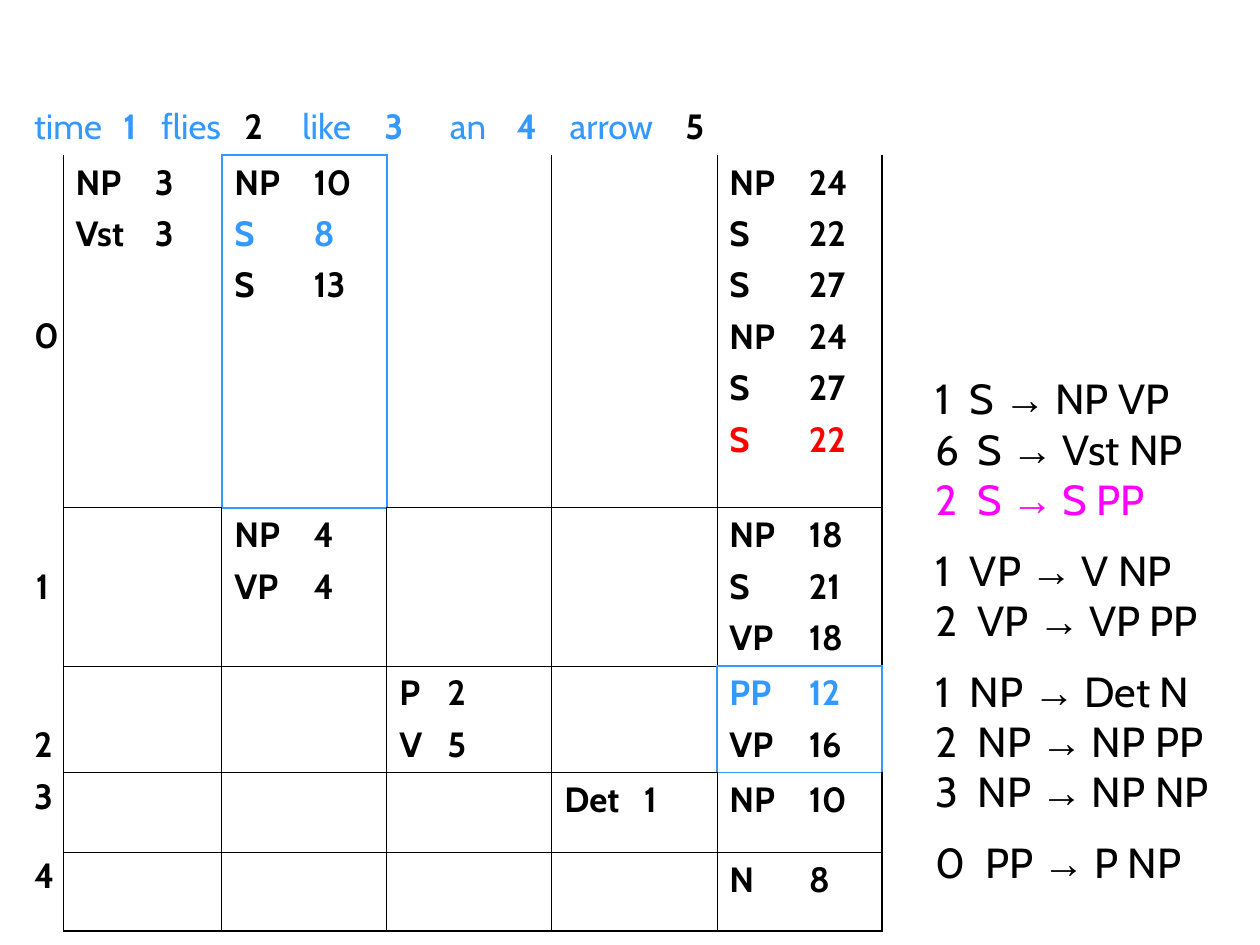
"""Build a slide with a weighted CKY parse chart and its grammar rules."""
import lxml.etree
import pptx
import pptx.dml.color
import pptx.enum.text
import pptx.oxml.ns
import pptx.util

THEME = {
    "ink": "000000", "focus": "3399FF", "best": "FF0000", "rule": "FF00FF",
    "font": "Cabin", "arrow_font": "Arial",
    "chart_size": 20, "grammar_size": 24, "thin": 0.45, "heavy": 1.08,
}
SENTENCE = [
    ("time", 0, "focus"), ("1", 0.71, "focus"), ("flies", 1.01, "focus"),
    ("2", 1.67, "ink"), ("like", 2.13, "focus"), ("3", 2.78, "focus"),
    ("an", 3.3, "focus"), ("4", 3.83, "focus"), ("arrow", 4.25, "focus"),
    ("5", 5.17, "ink"),
]
ENTRIES = {
    (1, 1): ["NP 3", "Vst 3"],
    (1, 2): ["NP 10", "S 8 focus", "S 13"],
    (1, 5): ["NP 24", "S 22", "S 27", "NP 24", "S 27", "S 22 best"],
    (2, 2): ["NP 4", "VP 4"],
    (2, 5): ["NP 18", "S 21", "VP 18"],
    (3, 3): ["P 2", "V 5"],
    (3, 5): ["PP 12 focus", "VP 16"],
    (4, 4): ["Det 1"],
    (4, 5): ["NP 10"],
    (5, 5): ["N 8"],
}
START_LABELS = [("0", 4.6), ("1", 2.2), ("2", 2.2), ("3", 0.9), ("4", 0.9)]
FOCUS_CELLS = {(1, 2), (3, 5)}
GRAMMAR = [
    [("1", "S", "NP VP", "ink"), ("6", "S", "Vst NP", "ink"), ("2", "S", "S PP", "rule")],
    [("1", "VP", "V NP", "ink"), ("2", "VP", "VP PP", "ink")],
    [("1", "NP", "Det N", "ink"), ("2", "NP", "NP PP", "ink"), ("3", "NP", "NP NP", "ink")],
    [("0", "PP", "P NP", "ink")],
]
WEIGHT_TABS = {"1": 0.27, "0": 0.39}
COLUMNS = [0.33, 1.26] + [1.31] * 4
ROWS = [0.44, 2.8, 1.24, 0.84, 0.63, 0.63]
SIDES = {"lnL": (0, -1), "lnR": (0, 1), "lnT": (-1, 0), "lnB": (1, 0)}
inch = pptx.util.Inches


def write(paragraph, text, *, size, color="ink", bold=False, font="font"):
    run = paragraph.add_run()
    run.text = text
    run.font.size = pptx.util.Pt(size)
    run.font.bold = bold
    run.font.name = THEME[font]
    run.font.color.rgb = pptx.dml.color.RGBColor.from_string(THEME[color])


def set_tabs(paragraph, *stops):
    properties = paragraph._p.get_or_add_pPr()
    tabs = lxml.etree.SubElement(properties, pptx.oxml.ns.qn("a:tabLst"))
    for stop in stops:
        lxml.etree.SubElement(tabs, pptx.oxml.ns.qn("a:tab"), pos=str(inch(stop)), algn="l")


def next_paragraph(frame, index):
    return frame.add_paragraph() if index else frame.paragraphs[0]


def draw_border(cell, side, color, width):
    properties = cell._tc.get_or_add_tcPr()
    line = lxml.etree.SubElement(
        properties, pptx.oxml.ns.qn("a:" + side), w=str(pptx.util.Pt(width)))
    fill = lxml.etree.SubElement(line, pptx.oxml.ns.qn("a:solidFill"))
    lxml.etree.SubElement(fill, pptx.oxml.ns.qn("a:srgbClr"), val=THEME[color])


def draw_borders(cell, row, column):
    for side, (down, across) in SIDES.items():
        neighbour = (row + down, column + across)
        if FOCUS_CELLS & {(row, column), neighbour}:
            draw_border(cell, side, "focus", THEME["heavy"])
        elif neighbour[0] == len(ROWS) or neighbour[1] == len(COLUMNS):
            draw_border(cell, side, "ink", THEME["heavy"])
        elif neighbour[0] > 0:
            draw_border(cell, side, "ink", THEME["thin"])


def fill_entries(cell, entries, weight_tab):
    for index, entry in enumerate(entries):
        symbol, weight, *color = entry.split()
        paragraph = next_paragraph(cell.text_frame, index)
        if index:
            paragraph.space_before = pptx.util.Pt(5)
        set_tabs(paragraph, weight_tab)
        write(paragraph, f"{symbol}\t{weight}", size=THEME["chart_size"],
              color=color[0] if color else "ink", bold=True)


def add_chart_table(slide):
    chart = slide.shapes.add_table(
        len(ROWS), len(COLUMNS), inch(0.17), inch(0.79),
        inch(sum(COLUMNS)), inch(sum(ROWS))).table
    chart.first_row = chart.horz_banding = False
    style = chart._tbl.tblPr.find(pptx.oxml.ns.qn("a:tableStyleId"))
    style.text = "{2D5ABB26-0587-4C30-8999-92F81FD0307C}"
    for column, width in zip(chart.columns, COLUMNS):
        column.width = inch(width)
    for row, height in zip(chart.rows, ROWS):
        row.height = inch(height)

    chart.cell(0, 0).merge(chart.cell(0, len(COLUMNS) - 1))
    sentence = chart.cell(0, 0).text_frame.paragraphs[0]
    set_tabs(sentence, *[stop for _, stop, _ in SENTENCE[1:]])
    for index, (word, _, color) in enumerate(SENTENCE):
        write(sentence, "\t" + word if index else word, size=THEME["chart_size"],
              color=color, bold=word.isdigit())

    for row, (label, spacing) in enumerate(START_LABELS, start=1):
        start = chart.cell(row, 0).text_frame.paragraphs[0]
        start.alignment = pptx.enum.text.PP_ALIGN.CENTER
        start.line_spacing = spacing
        write(start, label, size=THEME["chart_size"], bold=True)
        for column in range(1, len(COLUMNS)):
            cell = chart.cell(row, column)
            draw_borders(cell, row, column)
            fill_entries(cell, ENTRIES.get((row, column), []), 0.38 if column == 3 else 0.63)

    for row in range(len(ROWS)):
        for column in range(len(COLUMNS)):
            chart.cell(row, column).fill.background()


def add_grammar(slide):
    frame = slide.shapes.add_textbox(inch(7.33), inch(2.91), inch(2.67), inch(4.18)).text_frame
    frame.word_wrap = True
    rules = [(group, place, rule) for group, members in enumerate(GRAMMAR)
             for place, rule in enumerate(members)]
    for index, (group, place, (weight, left, right, color)) in enumerate(rules):
        paragraph = next_paragraph(frame, index)
        if group and place == 0:
            paragraph.line_spacing = 1.4
        set_tabs(paragraph, WEIGHT_TABS.get(weight, 0.33))
        for text, font in ((f"{weight}\t{left} ", "font"), ("→", "arrow_font"),
                           (f" {right}", "font")):
            write(paragraph, text, size=THEME["grammar_size"], color=color, font=font)


def main():
    deck = pptx.Presentation()
    deck.slide_width, deck.slide_height = inch(10), inch(7.5)
    slide = deck.slides.add_slide(deck.slide_layouts[6])
    add_chart_table(slide)
    add_grammar(slide)
    deck.save("out.pptx")


if __name__ == "__main__":
    main()
